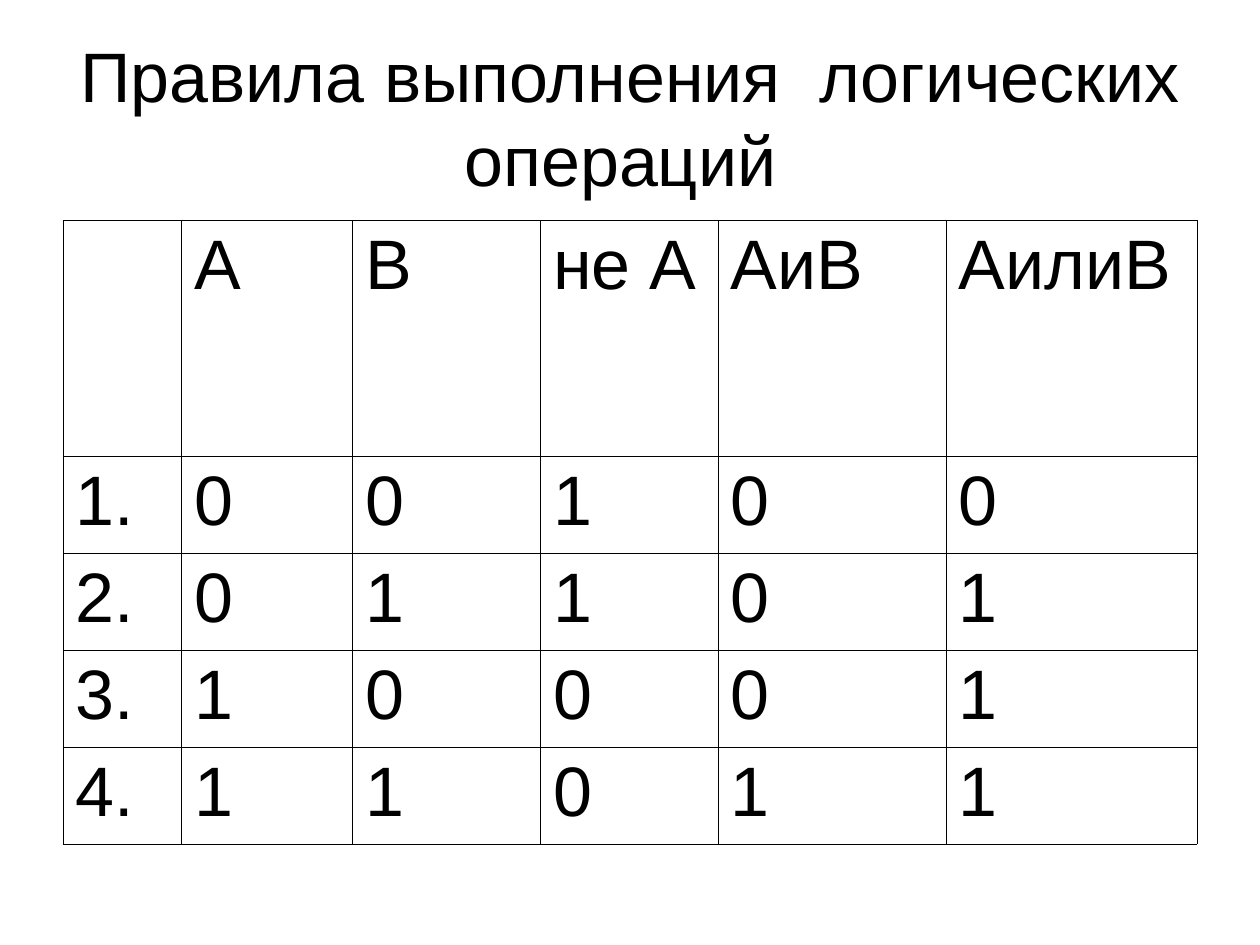
from itertools import product

from lxml import etree
from pptx import Presentation
from pptx import util as u
from pptx.dml.color import RGBColor
from pptx.enum import text
from pptx.oxml.ns import qn

BLACK = RGBColor(0, 0, 0)
WHITE = RGBColor(255, 255, 255)

COLUMN_WIDTHS = [0.94, 1.36, 1.49, 1.41, 1.81, 1.99]
ROW_HEIGHTS = [1.87] + [0.77] * 4
HEADER = ["", "А", "В", "не А", "АиВ", "АилиВ"]


def write(frame, content, *, font="Arial", size=40, color=BLACK,
          align=text.PP_ALIGN.LEFT, hanging=0):
    para = frame.paragraphs[0]
    para.alignment = align
    if hanging:
        properties = para._p.get_or_add_pPr()
        properties.set("marL", str(u.Inches(hanging)))
        properties.set("indent", str(-u.Inches(hanging)))
    para.font.size = u.Pt(size)
    span = para.add_run()
    span.text = content
    span.font.name = font
    span.font.size = u.Pt(size)
    span.font.color.rgb = color


def truth_rows():
    for number, (a, b) in enumerate(product((0, 1), repeat=2), start=1):
        yield [f"{number}."] + [str(value) for value in (a, b, 1 - a, a & b, a | b)]


class SlideBuilder:
    line_width = 0.45
    hanging = 0.38

    def __init__(self, deck):
        self.slide = deck.slides.add_slide(deck.slide_layouts[5])

    def title(self, content, left, top, width, height):
        box = self.slide.shapes.title
        box.left, box.top = u.Inches(left), u.Inches(top)
        box.width, box.height = u.Inches(width), u.Inches(height)
        frame = box.text_frame
        frame.word_wrap = True
        frame.auto_size = text.MSO_AUTO_SIZE.NONE
        frame.vertical_anchor = text.MSO_ANCHOR.MIDDLE
        write(frame, content, align=text.PP_ALIGN.CENTER)

    def table(self, rows, left, top, widths, heights):
        table = self.slide.shapes.add_table(
            len(rows), len(widths), u.Inches(left), u.Inches(top),
            u.Inches(sum(widths)), u.Inches(sum(heights))).table
        table.first_row = table.horz_banding = False
        for column, width in zip(table.columns, widths):
            column.width = u.Inches(width)
        for row, height, contents in zip(table.rows, heights, rows):
            row.height = u.Inches(height)
            for cell, content in zip(row.cells, contents):
                self.cell(cell, content)

    def cell(self, cell, content):
        self.borders(cell)
        cell.fill.solid()
        cell.fill.fore_color.rgb = WHITE
        if content:
            write(cell.text_frame, content, hanging=self.hanging)

    def borders(self, cell):
        properties = cell._tc.get_or_add_tcPr()
        for side in ("a:lnL", "a:lnR", "a:lnT", "a:lnB"):
            line = etree.SubElement(properties, qn(side), w=str(u.Pt(self.line_width)))
            fill = etree.SubElement(line, qn("a:solidFill"))
            etree.SubElement(fill, qn("a:srgbClr"), val=str(BLACK))


def main():
    deck = Presentation()
    deck.slide_width, deck.slide_height = u.Inches(10), u.Inches(7.5)
    page = SlideBuilder(deck)
    page.title("Правила выполнения  логических операций ", 0.5, 0.3, 9, 1.25)
    page.table([HEADER, *truth_rows()], 0.5, 1.75, COLUMN_WIDTHS, ROW_HEIGHTS)
    deck.save("out.pptx")


if __name__ == "__main__":
    main()
